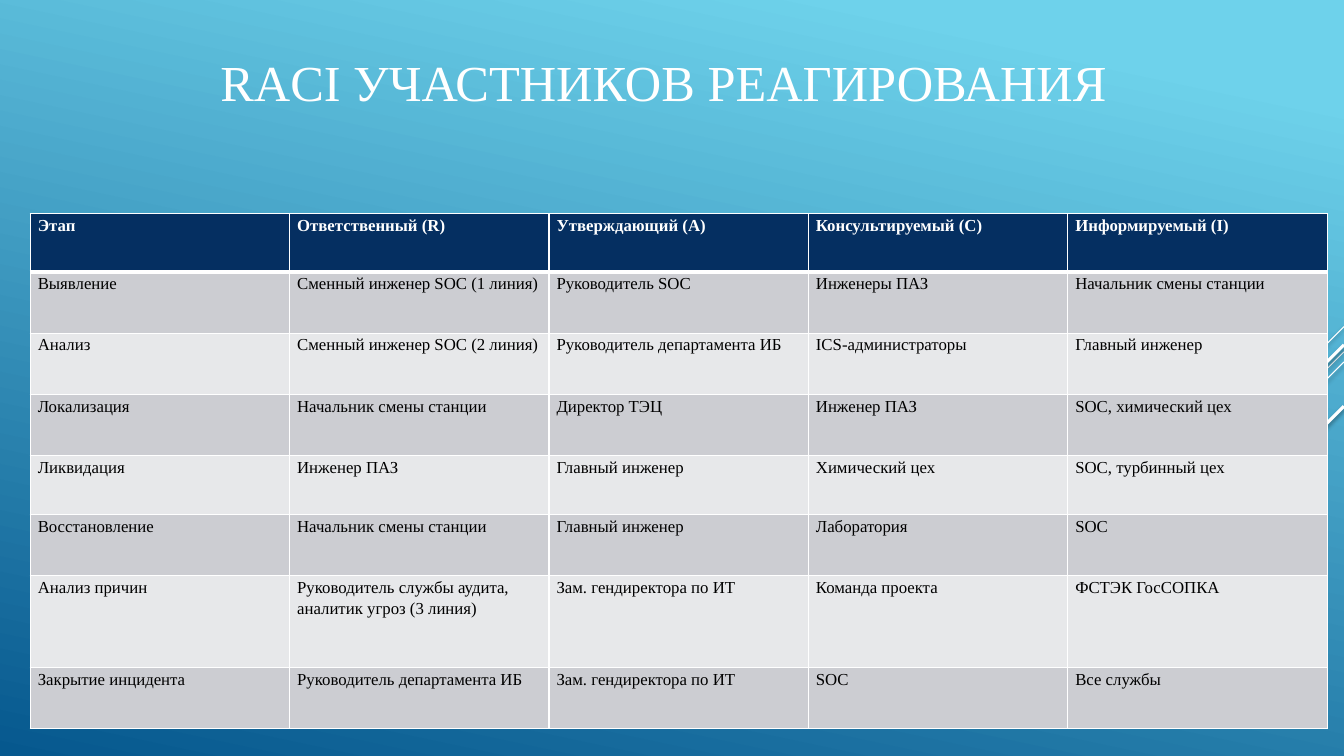
from lxml import etree
from pptx import Presentation
from pptx import util as u
from pptx.dml.color import RGBColor
from pptx.enum import shapes, text
from pptx.oxml import ns

Pt = u.Pt
WHITE = RGBColor(0xFF, 0xFF, 0xFF)
BLACK = RGBColor(0, 0, 0)
NAVY = RGBColor(0x05, 0x2F, 0x61)
BAND_DARK = RGBColor(0xCC, 0xCD, 0xD2)
BAND_LIGHT = RGBColor(0xE7, 0xE8, 0xEA)
SKY = RGBColor(0x6E, 0xD2, 0xEB)
DEEP_BLUE = RGBColor(0x06, 0x58, 0x8E)
FONT = "Times New Roman"

TITLE = "RACI УЧАСТНИКОВ РЕАГИРОВАНИЯ"
STAGES = [
    ("Этап", "Ответственный (R)", "Утверждающий (A)", "Консультируемый (C)", "Информируемый (I)"),
    ("Выявление", "Сменный инженер SOC (1 линия)", "Руководитель SOC", "Инженеры ПАЗ",
     "Начальник смены станции"),
    ("Анализ", "Сменный инженер SOC (2 линия)", "Руководитель департамента ИБ",
     "ICS-администраторы", "Главный инженер"),
    ("Локализация", "Начальник смены станции", "Директор ТЭЦ", "Инженер ПАЗ", "SOC, химический цех"),
    ("Ликвидация", "Инженер ПАЗ", "Главный инженер", "Химический цех", "SOC, турбинный цех"),
    ("Восстановление", "Начальник смены станции", "Главный инженер", "Лаборатория", "SOC"),
    ("Анализ причин", "Руководитель службы аудита, аналитик угроз (3 линия)",
     "Зам. гендиректора по ИТ", "Команда проекта", "ФСТЭК ГосСОПКА"),
    ("Закрытие инцидента", "Руководитель департамента ИБ", "Зам. гендиректора по ИТ", "SOC",
     "Все службы"),
]
ROW_HEIGHTS = [41.8, 43.8, 43.8, 43.8, 41.8, 43.8, 65.5, 43.8]

# Diagonal rays: drop from the box top, horizontal run, line width
RAYS = [(0, 72, 0.75), (18, 234.7, 0.75), (25.2, 149, 0.75), (13, 137.5, 2.25), (56.9, 100, 2.25)]


def set_format(target, values):
    for name, value in values.items():
        setattr(target, name, value)


def style_font(font, size, color, bold=False):
    set_format(font, {"name": FONT, "size": Pt(size), "bold": bold})
    font.color.rgb = color


def paint_background(slide):
    fill = slide.background.fill
    fill.gradient()
    fill.gradient_angle = 258
    for stop, position, color in zip(fill.gradient_stops, (0.1, 1), (SKY, DEEP_BLUE)):
        stop.position = position
        stop.color.rgb = color


def add_shadow(ray):
    effects = etree.SubElement(ray._element.spPr, ns.qn("a:effectLst"))
    shadow = etree.SubElement(effects, ns.qn("a:outerShdw"), blurRad=str(Pt(3.1)),
                              dist=str(Pt(1.6)), dir="5400000", rotWithShape="0")
    color = etree.SubElement(shadow, ns.qn("a:srgbClr"), val=str(BLACK))
    etree.SubElement(color, ns.qn("a:alpha"), val="38000")


def add_rays(slide, right, top):
    for drop, run, width in RAYS:
        start = top + drop
        ray = slide.shapes.add_connector(shapes.MSO_CONNECTOR.STRAIGHT, Pt(right), Pt(start),
                                         Pt(right - run), Pt(start + run))
        ray.line.color.rgb = WHITE
        ray.line.width = Pt(width)
        add_shadow(ray)


def add_title(slide, left, top, width, height):
    frame = slide.shapes.add_textbox(Pt(left), Pt(top), Pt(width), Pt(height)).text_frame
    set_format(frame, {"word_wrap": True, "vertical_anchor": text.MSO_ANCHOR.MIDDLE})
    heading = frame.paragraphs[0]
    heading.text = TITLE
    heading.alignment = text.PP_ALIGN.CENTER
    style_font(heading.runs[0].font, 36, WHITE)


def add_borders(cell, top, bottom):
    properties = cell._tc.get_or_add_tcPr()
    for side, width in {"L": 1, "R": 1, "T": top, "B": bottom}.items():
        border = etree.SubElement(properties, ns.qn(f"a:ln{side}"), w=str(Pt(width)))
        fill = etree.SubElement(border, ns.qn("a:solidFill"))
        etree.SubElement(fill, ns.qn("a:srgbClr"), val=str(WHITE))


def fill_cell(cell, wording, row):
    header = row == 0
    set_format(cell, {"margin_left": Pt(5.4), "margin_right": Pt(5.4),
                      "margin_top": 0, "margin_bottom": 0})
    # The rule under the header is thicker than the others
    add_borders(cell, top=3 if row == 1 else 1, bottom=3 if header else 1)
    cell.fill.solid()
    cell.fill.fore_color.rgb = NAVY if header else BAND_DARK if row % 2 else BAND_LIGHT
    paragraph = cell.text_frame.paragraphs[0]
    paragraph.text = wording
    paragraph.line_spacing = 1.15
    style_font(paragraph.runs[0].font, 12, WHITE if header else BLACK, header)


def add_raci_table(slide, left, top, width):
    columns = len(STAGES[0])
    table = slide.shapes.add_table(len(STAGES), columns, Pt(left), Pt(top), Pt(width),
                                   Pt(sum(ROW_HEIGHTS))).table
    for column in table.columns:
        column.width = Pt(width / columns)
    for row, (stage, height) in enumerate(zip(STAGES, ROW_HEIGHTS)):
        table.rows[row].height = Pt(height)
        for column, wording in enumerate(stage):
            fill_cell(table.cell(row, column), wording, row)


def main():
    deck = Presentation()
    set_format(deck, {"slide_width": Pt(960), "slide_height": Pt(540)})
    slide = deck.slides.add_slide(deck.slide_layouts[6])
    paint_background(slide)
    add_rays(slide, right=960, top=233.3)
    add_title(slide, left=0, top=-1.4, width=948, height=118.8)
    add_raci_table(slide, left=21.6, top=152.4, width=926.5)
    deck.save("out.pptx")


if __name__ == "__main__":
    main()
